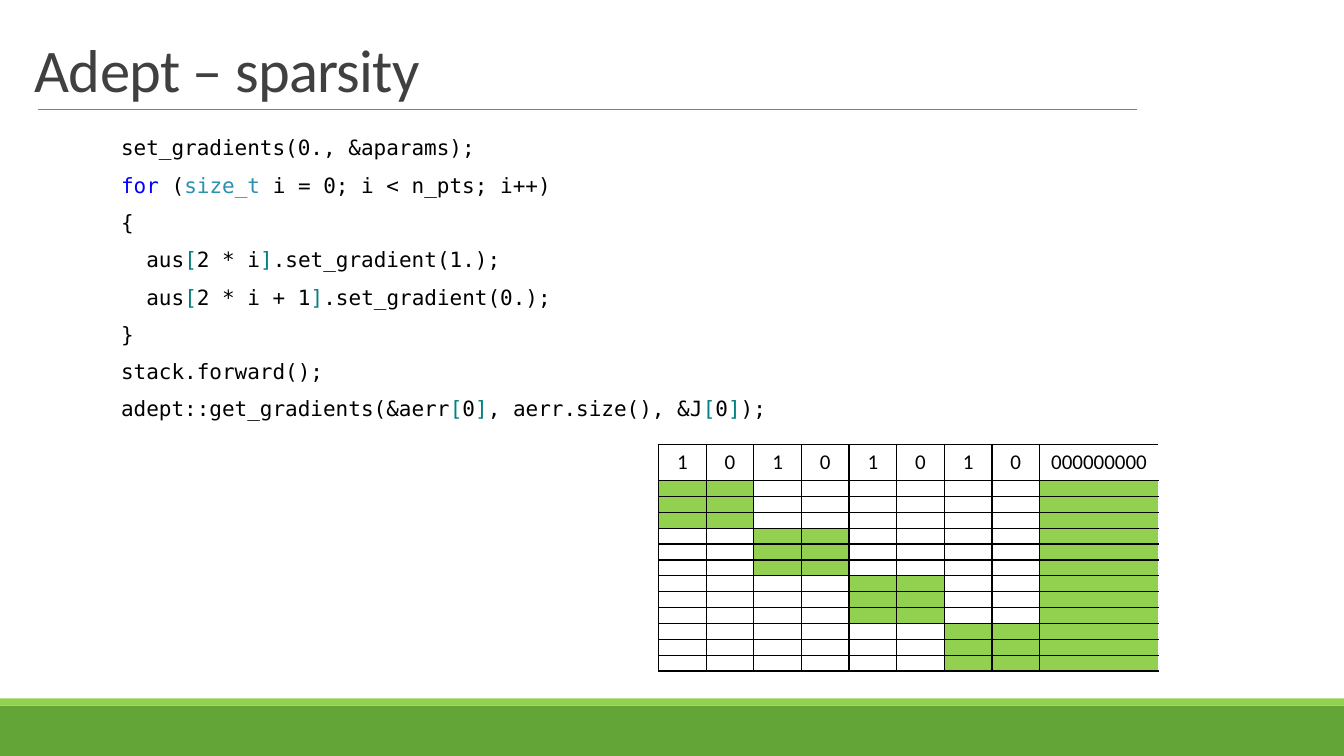
import dataclasses

import pptx
import pptx.dml.color
import pptx.enum.shapes
import pptx.enum.text
import pptx.oxml.ns
import pptx.util
from lxml import etree
from pptx.util import Cm


@dataclasses.dataclass(frozen=True)
class Theme:
    """Colours, fonts and type sizes of the slide."""
    heading: str = "404040"
    ink: str = "000000"
    rule: str = "808080"
    paper: str = "FFFFFF"
    band: str = "63A537"
    accent: str = "92D050"
    keyword: str = "0000FF"
    type_name: str = "2B91AF"
    bracket: str = "008080"
    text_font: str = "Calibri"
    code_font: str = "DejaVu Sans Mono"
    title_size: float = 43.2
    body_size: float = 15
    empty_size: float = 1


THEME = Theme()
TOKEN_COLOURS = {
    "for": THEME.keyword,
    "size_t": THEME.type_name,
    "[": THEME.bracket,
    "]": THEME.bracket,
}
TOKEN_MARK = "¦"
CODE_LINES = [
    "set_gradients(0., &aparams);",
    "for¦ (¦size_t¦ i = 0; i < n_pts; i++)",
    "{",
    "  aus¦[¦2 * i¦]¦.set_gradient(1.);",
    "  aus¦[¦2 * i + 1¦]¦.set_gradient(0.);",
    "}",
    "stack.forward();",
    "adept::get_gradients(&aerr¦[¦0¦]¦, aerr.size(), &J¦[¦0¦]¦);",
]
SEED_VECTOR = ["1", "0"] * 4 + ["000000000"]
BLOCK_ROWS, BLOCK_COLUMNS, BLOCKS = 3, 2, 4


def rgb(colour):
    """Turn a hex string into a colour."""
    return pptx.dml.color.RGBColor.from_string(colour)


def style_run(run, font, size, colour):
    """Give a run its font, size and colour."""
    run.font.name = font
    run.font.size = pptx.util.Pt(size)
    run.font.color.rgb = rgb(colour)


def add_band(slide, top, height, colour):
    """Draw a full-width footer band."""
    band = slide.shapes.add_shape(
        pptx.enum.shapes.MSO_SHAPE.RECTANGLE, 0, Cm(top), Cm(33.86), Cm(height))
    band.shadow.inherit = False
    band.fill.solid()
    band.fill.fore_color.rgb = rgb(colour)
    band.line.fill.background()


def add_rule(slide, left, right, top):
    """Draw the thin line under the title."""
    rule = slide.shapes.add_connector(
        pptx.enum.shapes.MSO_CONNECTOR.STRAIGHT, Cm(left), Cm(top), Cm(right), Cm(top))
    rule.line.color.rgb = rgb(THEME.rule)
    rule.line.width = pptx.util.Pt(0.5)
    etree.SubElement(rule._element.spPr, pptx.oxml.ns.qn("a:effectLst"))


def set_title(slide, wording):
    """Place and format the title."""
    title = slide.shapes.title
    title.left, title.top, title.width, title.height = Cm(0.62), Cm(0.79), Cm(30.38), Cm(1.98)
    frame = title.text_frame
    frame.text = wording
    frame.auto_size = pptx.enum.text.MSO_AUTO_SIZE.NONE
    frame.vertical_anchor = pptx.enum.text.MSO_ANCHOR.BOTTOM
    paragraph = frame.paragraphs[0]
    paragraph.alignment = pptx.enum.text.PP_ALIGN.LEFT
    paragraph.line_spacing = 0.85
    run = paragraph.runs[0]
    style_run(run, THEME.text_font, THEME.title_size, THEME.heading)
    run.font._element.set("spc", "-50")


def add_code(slide, lines):
    """Write the listing with its coloured tokens."""
    listing = slide.shapes.add_textbox(Cm(3.05), Cm(3.45), Cm(27.94), Cm(7.6))
    frame = listing.text_frame
    frame.word_wrap = True
    frame.margin_left = frame.margin_right = 0
    frame.text = "\n".join(line.replace(TOKEN_MARK, "") for line in lines)
    for number, (paragraph, line) in enumerate(zip(frame.paragraphs, lines)):
        paragraph.line_spacing = 0.7
        paragraph.space_before = pptx.util.Pt(12 if number else 0)
        paragraph.space_after = pptx.util.Pt(2)
        paragraph.clear()
        for token in line.split(TOKEN_MARK):
            run = paragraph.add_run()
            run.text = token
            style_run(run, THEME.code_font, THEME.body_size,
                      TOKEN_COLOURS.get(token, THEME.ink))


def set_borders(cell, sides):
    """Draw black borders on the given sides of a cell."""
    properties = cell._tc.get_or_add_tcPr()
    for side in sides:
        border = etree.SubElement(
            properties, pptx.oxml.ns.qn(f"a:ln{side}"), w=str(pptx.util.Pt(1)))
        fill = etree.SubElement(border, pptx.oxml.ns.qn("a:solidFill"))
        etree.SubElement(fill, pptx.oxml.ns.qn("a:srgbClr"), val=THEME.ink)


def format_cell(cell, wording, filled, sides):
    """Set the text, borders and fill of a matrix cell."""
    set_borders(cell, sides)
    cell.fill.solid()
    cell.fill.fore_color.rgb = rgb(THEME.accent if filled else THEME.paper)
    paragraph = cell.text_frame.paragraphs[0]
    if wording:
        paragraph.text = wording
        paragraph.alignment = pptx.enum.text.PP_ALIGN.CENTER
        cell.vertical_anchor = pptx.enum.text.MSO_ANCHOR.MIDDLE
        style_run(paragraph.runs[0], THEME.text_font, THEME.body_size, THEME.ink)
    else:
        cell.margin_top = cell.margin_bottom = 0
        ending = etree.SubElement(paragraph._p, pptx.oxml.ns.qn("a:endParaRPr"))
        ending.set("sz", str(round(THEME.empty_size * 100)))


def add_jacobian(slide):
    """Draw the block-sparse matrix under its seed vector."""
    row_count, last = 1 + BLOCK_ROWS * BLOCKS, len(SEED_VECTOR) - 1
    jacobian = slide.shapes.add_table(
        row_count, last + 1, Cm(16.59), Cm(11.2), Cm(12.6), Cm(5.71)).table
    jacobian.first_row = jacobian.horz_banding = False
    for index, column in enumerate(jacobian.columns):
        column.width = Cm(3 if index == last else 1.2)
    for index, row in enumerate(jacobian.rows):
        row.height = Cm(0.4 if index else 0.91)
        for position, cell in enumerate(row.cells):
            in_block = position == last or position // BLOCK_COLUMNS == (index - 1) // BLOCK_ROWS
            format_cell(cell, "" if index else SEED_VECTOR[position],
                        index > 0 and in_block, "LTB" if position == last else "LRTB")


def main():
    """Build and save the slide."""
    deck = pptx.Presentation()
    deck.slide_width, deck.slide_height = Cm(33.86), Cm(19.05)
    slide = deck.slides.add_slide(deck.slide_layouts.get_by_name("Title Only"))
    add_band(slide, 17.78, 1.27, THEME.band)
    add_band(slide, 17.6, 0.18, THEME.accent)
    add_rule(slide, 0.96, 28.65, 2.76)
    set_title(slide, "Adept – sparsity")
    add_code(slide, CODE_LINES)
    add_jacobian(slide)
    deck.save("out.pptx")


if __name__ == "__main__":
    main()
